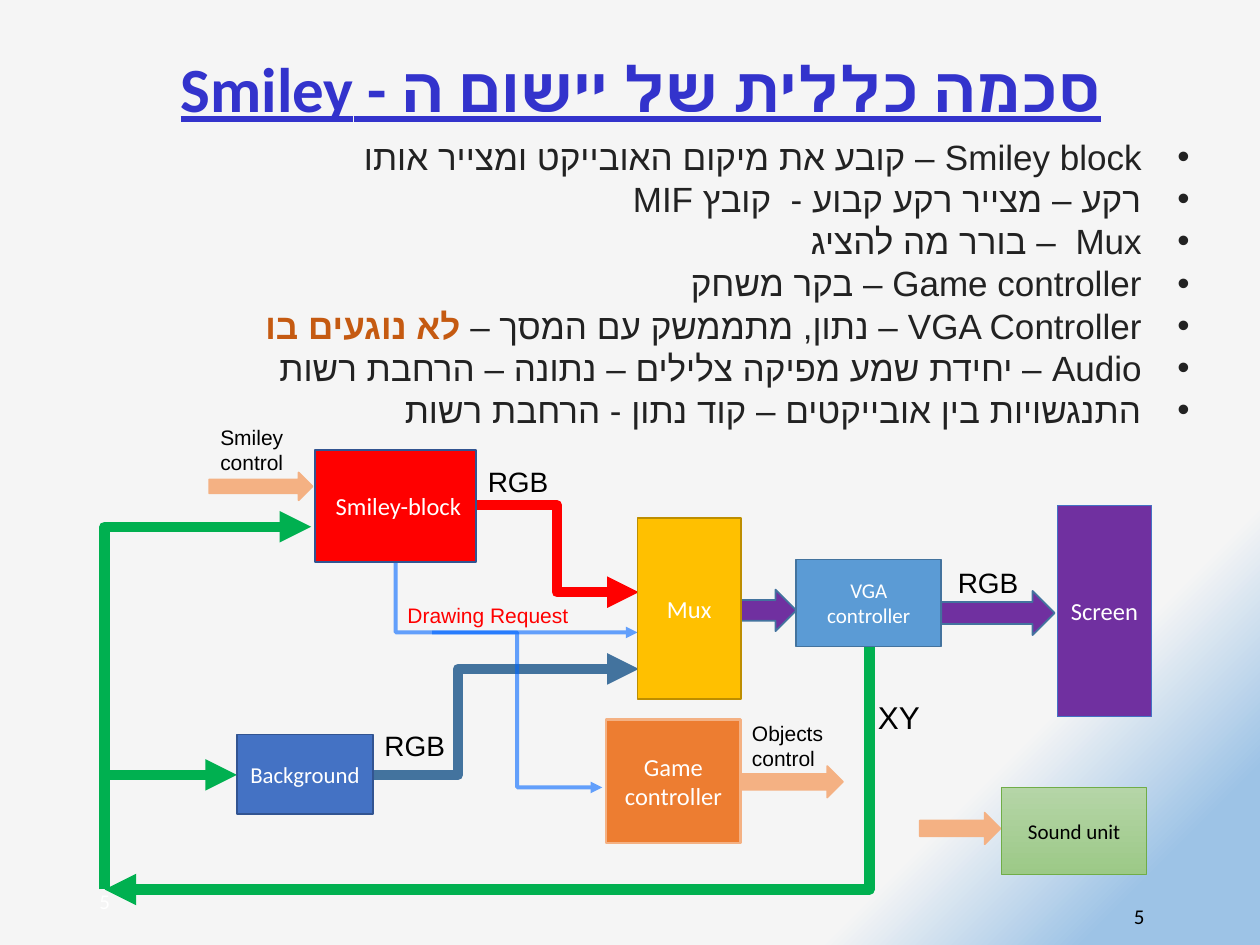
from typing import NamedTuple, Optional

from lxml.etree import SubElement
from pptx import Presentation
from pptx.dml.color import RGBColor
from pptx.enum.shapes import MSO_CONNECTOR as Connector, MSO_SHAPE as Preset
from pptx.enum.text import MSO_ANCHOR as Anchor, PP_ALIGN as Align
from pptx.oxml.ns import qn
from pptx.util import Inches, Pt

COLORS = {
    "paper": "F5F5F5", "sky": "9DC3E6", "title": "3333CC", "body": "222222",
    "warning": "C55A11", "white": "FFFFFF", "black": "000000", "red": "FF0000",
    "purple": "7030A0", "steel": "43739E", "gold": "FFC000", "dark gold": "BD8E00",
    "navy": "325491", "blue": "4472C4", "light blue": "5B9BD5", "request": "0066FF",
    "green": "00B050", "orange": "ED7D31", "peach": "F4B183", "leaf": "70AD47",
    "leaf top": "B5D5A7", "leaf bottom": "9CC987",
}
CELL = 0.1  # the slide is a grid of 100 columns by 75 rows


class Area(NamedTuple):
    column: float
    row: float
    columns: float
    rows: float


class Block(NamedTuple):
    text: str
    area: Area
    fill: str
    line: str
    size: float = 14
    color: str = "white"
    line_width: float = 1
    fill_end: Optional[str] = None


class Arrow(NamedTuple):
    area: Area
    fill: str
    line: str


class Wire(NamedTuple):
    start: tuple
    end: tuple
    color: str
    width: float = 6
    bend: Optional[float] = 0.5  # None: go vertically first, with one corner
    alpha: int = 100


class Label(NamedTuple):
    text: str
    area: Area
    size: float
    color: str = "black"
    font: str = "Arial"
    align: Align = Align.RIGHT
    rtl: bool = True
    anchor: Anchor = Anchor.TOP
    wrap: bool = True


BLOCKS = [
    Block("Mux", Area(50.6, 41.1, 8.2, 14.4), "gold", "dark gold"),
    Block("Smiley-block ", Area(25, 35.7, 12.8, 8.9), "red", "navy"),
    Block("Background", Area(18.8, 58.3, 10.8, 6.3), "blue", "navy", 13),
    Block("VGA controller", Area(63.2, 44.4, 11.5, 6.9), "light blue", "steel", 12),
    Block("Game controller", Area(48.1, 57.1, 10.7, 9.8), "orange", "peach", line_width=1.5),
    Block("Sound unit", Area(79.5, 62.5, 11.5, 6.9), "leaf top", "leaf", 12, "black", 0.5,
          "leaf bottom"),
    Block("Screen", Area(83.9, 40.1, 7.5, 16.8), "purple", "blue", line_width=0.5),
]
ARROWS = [
    Arrow(Area(74.7, 46.9, 9, 3.5), "purple", "steel"),
    Arrow(Area(58.8, 46.8, 4.4, 3.3), "purple", "steel"),
    Arrow(Area(58.7, 60.8, 8.2, 2.5), "peach", "peach"),
    Arrow(Area(16.6, 37.5, 8.2, 2.2), "peach", "peach"),
    Arrow(Area(73, 64.5, 6.4, 2.5), "peach", "peach"),
]
WIRES = [
    Wire((37.7, 40.1), (50.7, 47), "red"),
    Wire((29.6, 61.5), (50.7, 53.1), "steel", bend=0.32),
    Wire((31.4, 44.6), (50.6, 50.2), "request", 2.25, None, 60),
    Wire((34.3, 50.2), (47.8, 62.5), "request", 2.25, alpha=60),
    Wire((69, 51.3), (8.3, 70.6), "green", bend=None),
    Wire((8.3, 70.4), (24.7, 41.8), "green", bend=None),
    Wire((8.3, 70.6), (18.8, 61.5), "green", bend=0),
]
LABELS = [
    Label("Drawing Request", Area(31.2, 47.3, 14.9, 3), 12, "red", wrap=False),
    Label("RGB", Area(35.9, 36.4, 8.6, 3.7), 16),
    Label("RGB", Area(28.9, 57.3, 7.4, 3.7), 16),
    Label("RGB", Area(74.7, 44.4, 7.1, 3.7), 16),
    Label("XY", Area(68, 54.9, 6, 4), 18),
    Label("Objects control", Area(58.7, 56.7, 8.7, 5), 12, align=Align.LEFT, rtl=False),
    Label("Smiley control", Area(16.5, 33.2, 8.7, 5), 12, align=Align.LEFT, rtl=False),
    Label("5", Area(6.9, 69.5, 22.5, 4), 12, "white", "Calibri", Align.LEFT, anchor=Anchor.MIDDLE),
    Label("5", Area(73.5, 70.7, 33.8, 4), 12, font="Calibri", align=Align.CENTER,
          anchor=Anchor.MIDDLE),
]
TITLE = Label("סכמה כללית של יישום ה - Smiley", Area(10.6, 2.2, 80.5, 10.2), 36, "title",
              "Calibri", Align.CENTER, anchor=Anchor.MIDDLE)
BULLETS = Label("\n".join([
    "Smiley block – קובע את מיקום האובייקט ומצייר אותו",
    "רקע – מצייר רקע קבוע -  קובץ MIF",
    "Mux  – בורר מה להציג",
    "Game controller – בקר משחק ",
    "VGA Controller – נתון, מתממשק עם המסך – ",
    "Audio – יחידת שמע מפיקה צלילים – נתונה – הרחבת רשות",
    "התנגשויות בין אובייקטים – קוד נתון - הרחבת רשות",
]), Area(0.7, 10.3, 94.7, 24.6), 20, "body")
WARNING, WARNING_LINE = "לא נוגעים בו", 4


def rgb(name: str) -> RGBColor:
    return RGBColor.from_string(COLORS[name])


def grid(*cells: float) -> list:
    return [Inches(cell * CELL) for cell in cells]


def format_run(run, size: float, color: str, font: str) -> None:
    run.font.size, run.font.name = Pt(size), font
    run.font.color.rgb = rgb(color)
    # Hebrew letters take the complex-script typeface
    SubElement(run.font._element, qn("a:cs")).set("typeface", font)


def format_text(frame, label: Label) -> None:
    frame.text = label.text
    frame.word_wrap, frame.vertical_anchor = label.wrap, label.anchor
    for paragraph in frame.paragraphs:
        paragraph.alignment = label.align
        if label.rtl:
            paragraph._p.get_or_add_pPr().set("rtl", "1")
        for run in paragraph.runs:
            format_run(run, label.size, label.color, label.font)


def add_label(slide, label: Label):
    box = slide.shapes.add_textbox(*grid(*label.area))
    format_text(box.text_frame, label)
    return box.text_frame


def add_preset(slide, preset: Preset, area: Area, fill: str, line: str):
    shape = slide.shapes.add_shape(preset, *grid(*area))
    shape.shadow.inherit = False
    shape.fill.solid()
    shape.fill.fore_color.rgb = rgb(fill)
    shape.line.color.rgb = rgb(line)
    shape.line.width = Pt(1)
    return shape


def set_gradient(fill, stops: list, angle: float) -> None:
    fill.gradient()
    fill.gradient_angle = angle
    for stop, (position, color) in zip(fill.gradient_stops, stops):
        stop.position, stop.color.rgb = position, rgb(color)


def add_block(slide, block: Block) -> None:
    shape = add_preset(slide, Preset.RECTANGLE, block.area, block.fill, block.line)
    shape.line.width = Pt(block.line_width)
    if block.fill_end:
        set_gradient(shape.fill, [(0, block.fill), (1, block.fill_end)], 270)
    format_text(shape.text_frame, Label(block.text, block.area, block.size, block.color,
                                        "Calibri", Align.CENTER, anchor=Anchor.MIDDLE))


def add_wire(slide, wire: Wire) -> None:
    (x1, y1), (x2, y2) = start, end = wire.start, wire.end
    if wire.bend is None:  # lay the corner out sideways, then rotate it about its centre
        across, down = abs(y2 - y1) / 2, abs(x2 - x1) / 2
        middle_x, middle_y = (x1 + x2) / 2, (y1 + y2) / 2
        start, end = (middle_x - across, middle_y - down), (middle_x + across, middle_y + down)
    connector = slide.shapes.add_connector(Connector.ELBOW, *grid(*start, *end))
    properties = connector._element.spPr
    geometry = properties.find(qn("a:prstGeom"))
    if wire.bend is None:
        geometry.set("prst", "bentConnector2")
        transform = properties.find(qn("a:xfrm"))
        transform.set("rot", str((90 if x2 < x1 else 270) * 60000))
        if x2 > x1 and y2 > y1:
            transform.set("flipH", "1")
    else:
        guide = SubElement(geometry.find(qn("a:avLst")), qn("a:gd"))
        guide.set("name", "adj1")
        guide.set("fmla", f"val {round(wire.bend * 100000)}")
    connector.line.color.rgb = rgb(wire.color)
    connector.line.width = Pt(wire.width)
    line = properties.find(qn("a:ln"))
    if wire.alpha < 100:
        SubElement(line.find(".//" + qn("a:srgbClr")), qn("a:alpha")).set(
            "val", str(wire.alpha * 1000))
    SubElement(line, qn("a:tailEnd")).set("type", "triangle")
    SubElement(properties, qn("a:effectLst"))


def main() -> None:
    presentation = Presentation()
    presentation.slide_width, presentation.slide_height = grid(100, 75)
    slide = presentation.slides.add_slide(presentation.slide_layouts[6])
    set_gradient(slide.background.fill, [(0.08, "sky"), (0.2, "paper")], 135)

    # Title
    title = add_label(slide, TITLE).paragraphs[0]
    title.line_spacing = 0.9
    title.runs[0].font.bold = title.runs[0].font.underline = True

    # Bullets
    paragraphs = add_label(slide, BULLETS).paragraphs
    for paragraph in paragraphs:
        properties = paragraph._p.get_or_add_pPr()
        properties.set("marL", str(Inches(0.38)))
        properties.set("indent", str(-Inches(0.38)))
        SubElement(properties, qn("a:buFont")).set("typeface", "Arial")
        SubElement(properties, qn("a:buChar")).set("char", "•")
    warning = paragraphs[WARNING_LINE].add_run()
    warning.text = WARNING
    format_run(warning, BULLETS.size, "warning", BULLETS.font)
    warning.font.bold = True

    # Block diagram
    for arrow in ARROWS:
        add_preset(slide, Preset.RIGHT_ARROW, *arrow)
    for wire in WIRES:
        add_wire(slide, wire)
    for block in BLOCKS:
        add_block(slide, block)
    for label in LABELS:
        add_label(slide, label)

    presentation.save("out.pptx")


if __name__ == "__main__":
    main()
